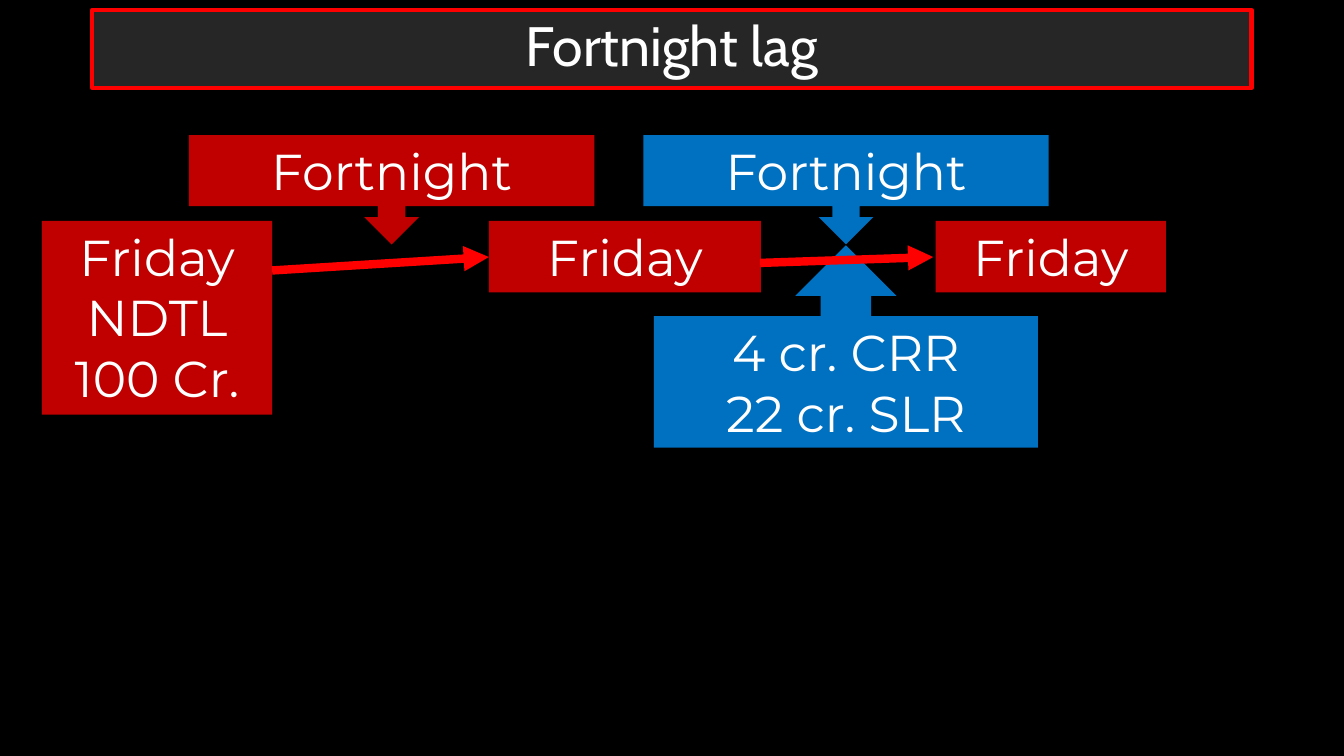
from lxml import etree
from pptx import Presentation, util as u
from pptx.dml.color import RGBColor
from pptx.enum import shapes, text
from pptx.oxml import parse_xml
from pptx.oxml.ns import nsdecls, qn

BLACK = RGBColor(0, 0, 0)
WHITE = RGBColor(255, 255, 255)
GREY = RGBColor(0x26, 0x26, 0x26)
RED = RGBColor(255, 0, 0)
DARK = RGBColor(0xC0, 0, 0)
BLUE = RGBColor(0, 0x70, 0xC0)
WIDE, HIGH = u.Inches(13.333), u.Inches(7.5)
COLS, ROWS = 160, 90
KIND = shapes.MSO_SHAPE


def col(n):
    return round(WIDE * n / COLS)


def row(n):
    return round(HIGH * n / ROWS)


def apply(item, form):
    for name, value in form.items():
        setattr(item, name, value)


def write(shape, words, size, face, anchor):
    frame = shape.text_frame
    apply(frame, {"word_wrap": True, "vertical_anchor": anchor,
                  "auto_size": text.MSO_AUTO_SIZE.NONE})
    frame.text = words
    for para in frame.paragraphs:
        para.alignment = text.PP_ALIGN.CENTER
        apply(para.font, {"size": u.Pt(size), "name": face, "bold": False})
        para.font.color.rgb = WHITE


def paint(shape, color):
    shape.fill.solid()
    shape.fill.fore_color.rgb = color


def add_title(slide, box):
    x, y, w, h = box
    title = slide.shapes.title
    apply(title, {"left": col(x), "top": row(y), "width": col(w), "height": row(h)})
    title._element.spPr.append(parse_xml(
        f'<a:prstGeom {nsdecls("a")} prst="roundRect"><a:avLst>'
        '<a:gd name="adj" fmla="val 3000"/></a:avLst></a:prstGeom>'))
    paint(title, GREY)
    title.line.color.rgb = RED
    title.line.width = u.Pt(3)
    write(title, "Fortnight lag", 39.6, "Cabin", text.MSO_ANCHOR.MIDDLE)
    title.text_frame.paragraphs[0].line_spacing = 0.9


def add_block(slide, kind, box, color, words):
    x, y, w, h = box
    block = slide.shapes.add_shape(kind, col(x), row(y), col(w), row(h))
    block.shadow.inherit = False
    paint(block, color)
    block.line.fill.background()
    write(block, words, 36, "Montserrat", text.MSO_ANCHOR.TOP)


def add_arrow(slide, start, end):
    (x, y), (p, q) = start, end
    arrow = slide.shapes.add_connector(
        shapes.MSO_CONNECTOR.STRAIGHT, col(x), row(y), col(p), row(q))
    arrow.line.color.rgb = RED
    arrow.line.width = u.Pt(6)
    etree.SubElement(arrow.line._get_or_add_ln(), qn("a:tailEnd"), type="triangle")
    etree.SubElement(arrow._element.spPr, qn("a:effectLst"))


def add_flow(slide, left, top):
    step, day = 53.2, 10.2
    days = [("Friday\nNDTL\n100 Cr.", 27.4, 23.05),
            ("Friday", 32.4, 8.5), ("Friday", 27.4, 8.5)]
    for i, (words, w, h) in enumerate(days):
        add_block(slide, KIND.RECTANGLE, (left + i * step, top + day, w, h),
                  DARK, words)
    notes = [(KIND.DOWN_ARROW_CALLOUT, 17.5, 0, 48.25, 13, DARK, "Fortnight"),
             (KIND.DOWN_ARROW_CALLOUT, 71.6, 0, 48.25, 13, BLUE, "Fortnight"),
             (KIND.UP_ARROW_CALLOUT, 72.85, 13.1, 45.7, 24.1, BLUE,
              "4 cr. CRR\n22 cr. SLR")]
    for kind, x, y, w, h, color, words in notes:
        add_block(slide, kind, (left + x, top + y, w, h), color, words)
    for x, y, end in [(27.4, 16.1, step), (85.5, 15.2, 2 * step - 0.3)]:
        add_arrow(slide, (left + x, top + y), (left + end, top + 14.5))


def main():
    deck = Presentation()
    apply(deck, {"slide_width": WIDE, "slide_height": HIGH})
    slide = deck.slides.add_slide(deck.slide_layouts[5])
    slide.background.fill.solid()
    slide.background.fill.fore_color.rgb = BLACK
    add_title(slide, (11, 1.2, 138, 9.25))
    add_flow(slide, 5, 16.1)
    deck.save("out.pptx")


if __name__ == "__main__":
    main()
